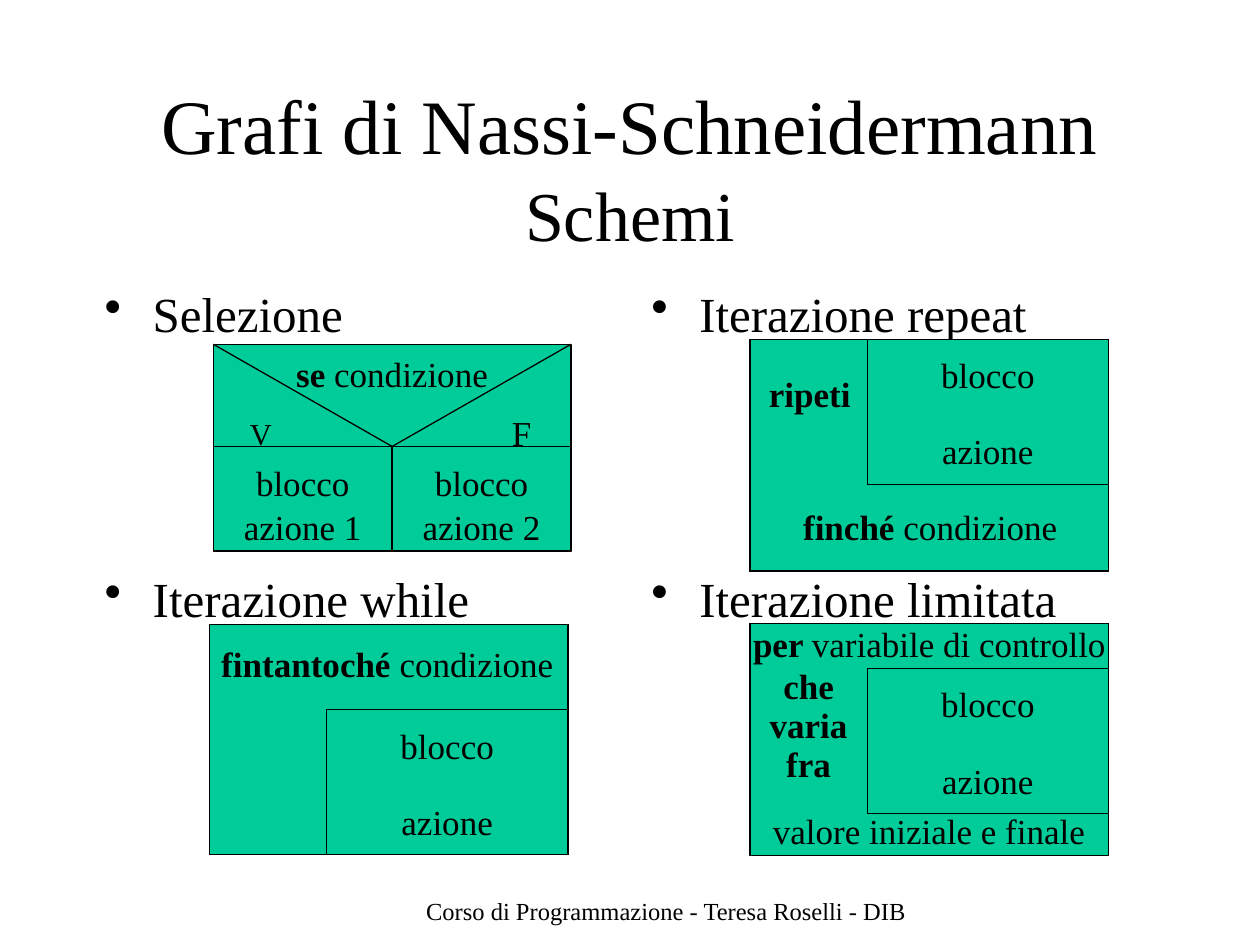
from lxml import etree
from pptx import Presentation
from pptx.dml.color import RGBColor
from pptx.enum.shapes import MSO_CONNECTOR, MSO_SHAPE
from pptx.enum.text import MSO_ANCHOR, PP_ALIGN
from pptx.oxml.ns import qn
from pptx.util import Cm, Pt

LEFT, CENTER = PP_ALIGN.LEFT, PP_ALIGN.CENTER
TOP = MSO_ANCHOR.TOP
RECTANGLE = MSO_SHAPE.RECTANGLE
STRAIGHT = MSO_CONNECTOR.STRAIGHT
FONT = "Times New Roman"
GREEN, BLACK = "00CC99", "000000"
LINE_WIDTH = Pt(0.75)
NO_STYLE = "{2D5ABB26-0587-4C30-8999-92F81FD0307C}"
COLUMNS = (2.36, 4.87)
BLOCK_HEIGHT = 2.92
BLOCK = [[("blocco", False)], [("azione", False)]]


def color(value):
    return RGBColor.from_string(value)


def write(frame, paragraphs, size=20, align=LEFT, gap=0):
    for index, pieces in enumerate(paragraphs):
        paragraph = frame.paragraphs[0] if index == 0 else frame.add_paragraph()
        paragraph.alignment = align
        paragraph.space_before = Pt(gap if index else 0)
        for wording, bold in pieces:
            run = paragraph.add_run()
            run.text = wording
            run.font.name = FONT
            run.font.size = Pt(size)
            run.font.bold = bold
            run.font.color.rgb = color(BLACK)


def set_margins(holder, left=0, top=0):
    holder.margin_left, holder.margin_top = Cm(left), Cm(top)
    holder.margin_right = holder.margin_bottom = 0
    holder.vertical_anchor = TOP


def add_label(slide, left, top, width, height, pieces, size=20, align=LEFT):
    frame = slide.shapes.add_textbox(Cm(left), Cm(top), Cm(width), Cm(height)).text_frame
    frame.word_wrap = True
    set_margins(frame)
    write(frame, [pieces], size, align)
    return frame.paragraphs[0]


def add_bullet(slide, left, top, wording):
    paragraph = add_label(slide, left, top, 8.2, 1.25, [(wording, False)], 28)
    properties = paragraph._p.get_or_add_pPr()
    properties.set("marL", str(Cm(0.97)))
    properties.set("indent", str(-Cm(0.97)))
    etree.SubElement(properties, qn("a:buChar"), char="•")


def add_box(slide, left, top, width, height, paragraphs=()):
    box = slide.shapes.add_shape(RECTANGLE, Cm(left), Cm(top), Cm(width), Cm(height))
    box.shadow.inherit = False
    box.fill.solid()
    box.fill.fore_color.rgb = color(GREEN)
    box.line.color.rgb = color(BLACK)
    box.line.width = LINE_WIDTH
    box.text_frame.word_wrap = True
    set_margins(box.text_frame, top=0.3)
    write(box.text_frame, paragraphs, align=CENTER, gap=1)


def add_line(slide, x1, y1, x2, y2):
    line = slide.shapes.add_connector(STRAIGHT, Cm(x1), Cm(y1), Cm(x2), Cm(y2))
    line.line.color.rgb = color(BLACK)
    line.line.width = LINE_WIDTH
    etree.SubElement(line._element.spPr, qn("a:effectLst"))


def add_selection(slide, left, top):
    width, height, head = 7.21, 4.17, 2.06
    half = width / 2
    add_box(slide, left, top, width, height)
    for index in range(2):
        action = [[("blocco", False)], [(f"azione {index + 1}", False)]]
        add_box(slide, left + index * half, top + head, half, height - head, action)
        add_line(slide, left + index * width, top, left + half, top + head)
    add_label(slide, left, top + 0.17, width, 0.82,
              [("se ", True), ("condizione", False)], align=CENTER)
    add_label(slide, left + 0.74, top + 1.42, 1, 0.72, [("V", False)], 17.4)
    add_label(slide, left + 6.02, top + 1.36, 1, 0.82, [("F", False)])


def style_cell(cell, sides):
    properties = cell._tc.get_or_add_tcPr()
    for side in sides:
        border = etree.SubElement(properties, qn(f"a:ln{side}"), w=str(LINE_WIDTH))
        fill = etree.SubElement(border, qn("a:solidFill"))
        etree.SubElement(fill, qn("a:srgbClr"), val=BLACK)
    cell.fill.solid()
    cell.fill.fore_color.rgb = color(GREEN)


def add_diagram(slide, left, top, rows):
    heights = [row[0] for row in rows]
    table = slide.shapes.add_table(len(rows), 2, Cm(left), Cm(top),
                                   Cm(sum(COLUMNS)), Cm(sum(heights))).table
    table._tbl.tblPr.find(qn("a:tableStyleId")).text = NO_STYLE
    table.first_row = table.horz_banding = False
    for column, width in zip(table.columns, COLUMNS):
        column.width = Cm(width)
    for index, (height, indent, offset, paragraphs) in enumerate(rows):
        table.rows[index].height = Cm(height)
        cell, block = table.cell(index, 0), table.cell(index, 1)
        outer = ("T" if index == 0 else "") + ("B" if index == len(rows) - 1 else "")
        if height == BLOCK_HEIGHT:
            style_cell(cell, "L" + outer)
            style_cell(block, "LRTB")
            set_margins(block, top=0.36)
            write(block.text_frame, BLOCK, align=CENTER, gap=21.4)
        else:
            cell.merge(block)
            style_cell(cell, "LR" + outer)
        set_margins(cell, indent, offset)
        write(cell.text_frame, paragraphs, align=CENTER if len(paragraphs) > 1 else LEFT)


def main():
    presentation = Presentation()
    presentation.slide_width, presentation.slide_height = Cm(25.4), Cm(19.05)
    slide = presentation.slides.add_slide(presentation.slide_layouts[6])

    add_label(slide, 2.5, 1.57, 20.4, 1.8,
              [("Grafi di Nassi-Schneidermann", False)], 44, CENTER)
    add_label(slide, 2.5, 3.45, 20.4, 1.65, [("Schemi", False)], 40, CENTER)

    headings = (("Selezione", "Iterazione repeat"),
                ("Iterazione while", "Iterazione limitata"))
    for top, names in zip((5.72, 11.46), headings):
        for left, name in zip((2.11, 13.13), names):
            add_bullet(slide, left, top, name)

    add_selection(slide, 4.3, 6.94)
    add_diagram(slide, 4.22, 12.59, [
        (1.72, 0.24, 0.44, [[("fintantoché ", True), ("condizione", False)]]),
        (BLOCK_HEIGHT, 0, 0, []),
    ])
    add_diagram(slide, 15.12, 6.84, [
        (BLOCK_HEIGHT, 0.38, 0.74, [[("ripeti", True)]]),
        (1.75, 1.07, 0.5, [[("finché ", True), ("condizione", False)]]),
    ])
    add_diagram(slide, 15.12, 12.57, [
        (0.9, 0.06, 0.06, [[("per ", True), ("variabile di controllo", False)]]),
        (BLOCK_HEIGHT, 0, 0, [[(word, True)] for word in ("che", "varia", "fra")]),
        (0.82, 0.46, 0, [[("valore iniziale e finale", False)]]),
    ])
    add_label(slide, 8.59, 18.06, 10.2, 0.6,
              [("Corso di Programmazione - Teresa Roselli - DIB", False)], 14)
    presentation.save("out.pptx")


main()
